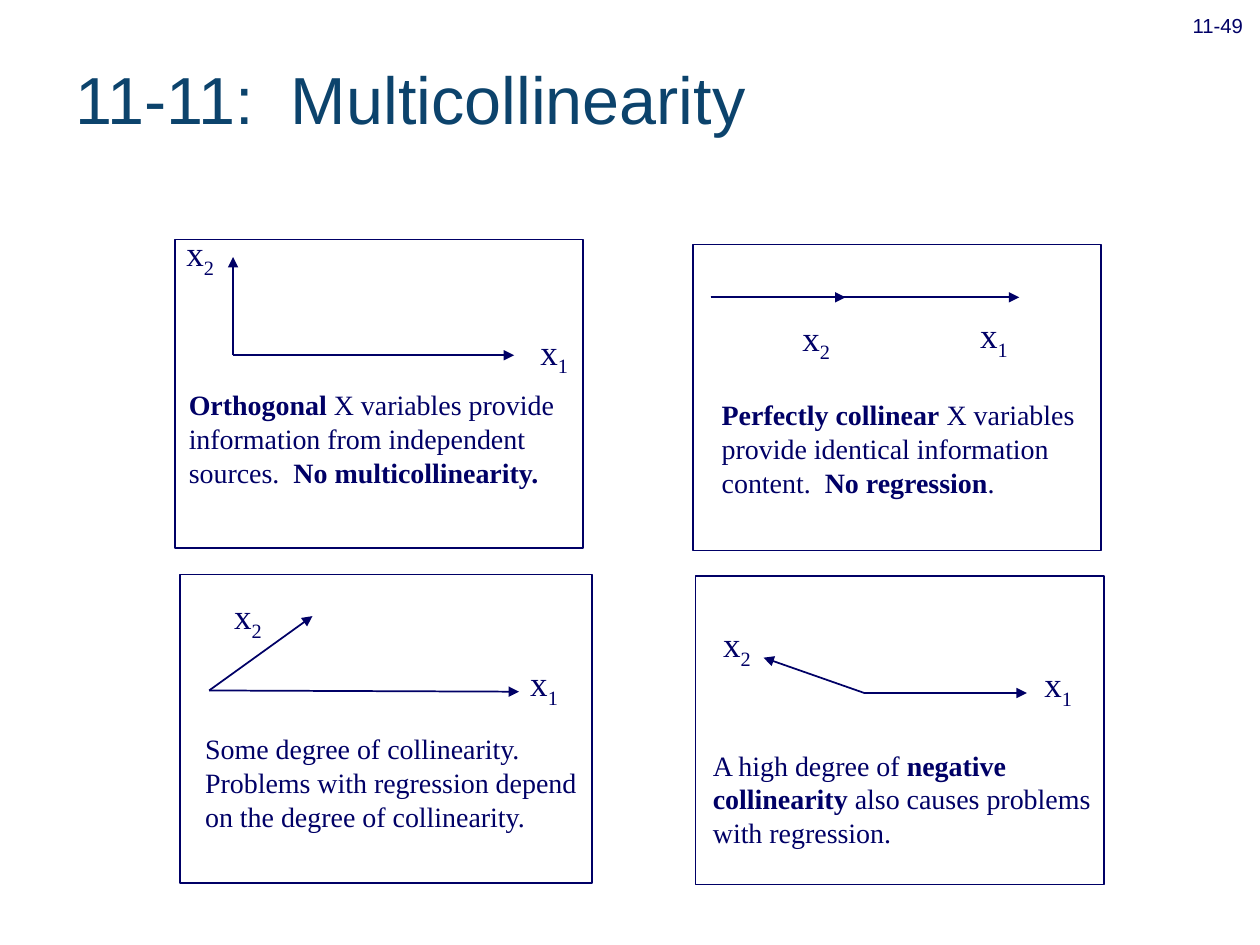
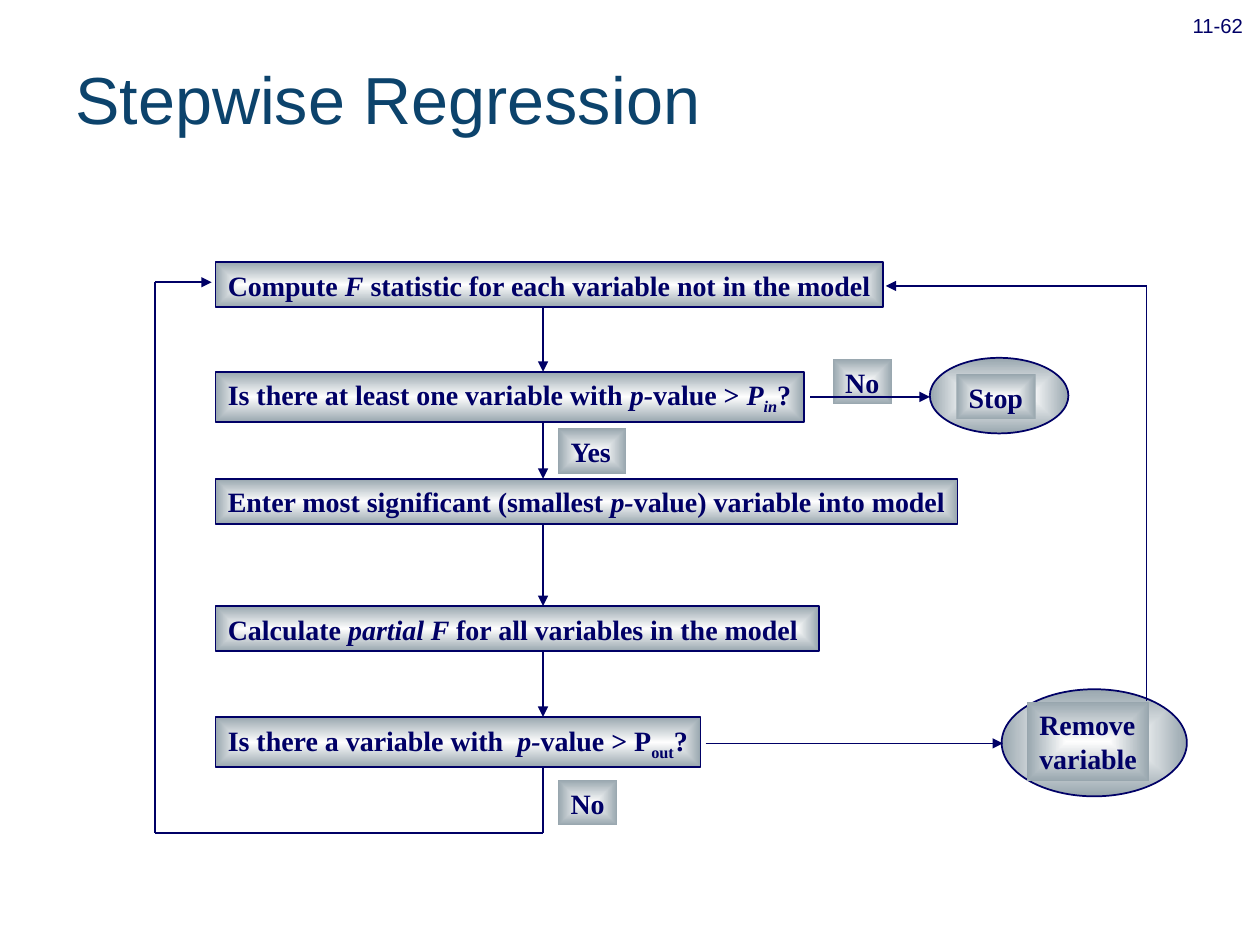
from dataclasses import dataclass
from itertools import pairwise

from lxml.etree import SubElement
from pptx import Presentation
from pptx.dml.color import RGBColor
from pptx.enum.shapes import MSO_CONNECTOR as Connector, MSO_SHAPE as Shape
from pptx.enum.text import MSO_ANCHOR as Anchor, PP_ALIGN as Align
from pptx.oxml.ns import qn
from pptx.util import Inches, Pt

WIDTH, HEIGHT = Inches(10), Inches(7.5)
COLUMN, ROW = WIDTH // 100, HEIGHT // 75
NAVY = RGBColor(0x00, 0x00, 0x66)
TITLE_BLUE = RGBColor(0x0C, 0x43, 0x6C)
GLOW = RGBColor(0xFE, 0xFE, 0xFE)
STEEL = RGBColor(0x98, 0xA6, 0xAE)
SANS, SERIF = "Arial", "Times New Roman"


@dataclass
class Box:
    """A rectangle in grid columns and rows."""
    left: float
    top: float
    width: float
    height: float

    def inner(self, left, top, width, height):
        """Return a box placed relative to this one."""
        return Box(self.left + left, self.top + top, width, height)

    def point(self, column, row):
        """Return a point placed relative to this box."""
        return self.left + column, self.top + row

    def lengths(self):
        """Return left, top, width and height as slide lengths."""
        return (round(self.left * COLUMN), round(self.top * ROW),
                round(self.width * COLUMN), round(self.height * ROW))


def write(shape, lines, size, font=SERIF, color=NAVY, bold=False, wrap=True,
          align=Align.LEFT, anchor=Anchor.TOP):
    """Write lines of (text, marks) spans; marks are b, i and _ for subscript."""
    frame = shape.text_frame
    frame.word_wrap = wrap
    frame.vertical_anchor = anchor
    for number, line in enumerate(lines):
        para = frame.add_paragraph() if number else frame.paragraphs[0]
        para.alignment = align
        para.font.size, para.font.name = Pt(size), font
        para.font.color.rgb, para.font.bold = color, bold
        for text, marks in line:
            span = para.add_run()
            span.text = text
            if "b" in marks:
                span.font.bold = True
            if "i" in marks:
                span.font.italic = True
            if "_" in marks:
                span._r.get_or_add_rPr().set("baseline", "-25000")


def add_text(page, box, lines, size, **style):
    """Add a text box."""
    write(page.shapes.add_textbox(*box.lengths()), lines, size, **style)


def add_outline(page, box, kind=Shape.RECTANGLE, outlined=True):
    """Add an unfilled shape, with a navy line if outlined."""
    shape = page.shapes.add_shape(kind, *box.lengths())
    shape.shadow.inherit = False
    shape.fill.background()
    if outlined:
        shape.line.color.rgb, shape.line.width = NAVY, Pt(1)
    else:
        shape.line.fill.background()
    return shape


def add_glowing(page, box, lines=(), kind=Shape.RECTANGLE, outlined=True):
    """Add a shape that fades from a light centre to steel edges."""
    shape = add_outline(page, box, kind, outlined)
    shape.fill.gradient()
    for stop, color in zip(shape.fill.gradient_stops, (GLOW, STEEL)):
        stop.color.rgb = color
    gradient = shape._element.spPr.find(qn("a:gradFill"))
    gradient.remove(gradient.find(qn("a:lin")))
    fade = SubElement(gradient, qn("a:path"), path="rect")
    SubElement(fade, qn("a:fillToRect"), l="50000", t="50000", r="50000", b="50000")
    write(shape, lines, 16, bold=True, wrap=False)


def add_route(page, *points):
    """Join points with lines and put an arrowhead on the last one."""
    for start, end in pairwise(points):
        line = page.shapes.add_connector(
            Connector.STRAIGHT, round(start[0] * COLUMN), round(start[1] * ROW),
            round(end[0] * COLUMN), round(end[1] * ROW))
        line.line.color.rgb, line.line.width = NAVY, Pt(1)
        SubElement(line._element.spPr, qn("a:effectLst"))
    SubElement(line.line._get_or_add_ln(), qn("a:tailEnd"), type="triangle")


def add_page(deck, title, number):
    """Add a blank slide with its title and page number."""
    page = deck.slides.add_slide(deck.slide_layouts[6])
    add_text(page, Box(5, 1.5, 92.7, 12.5), [[(title, "")]], 38,
             font=SANS, color=TITLE_BLUE, anchor=Anchor.MIDDLE)
    add_text(page, Box(92.9, -1.3, 7.5, 4.8), [[(number, "_")]], 20,
             font=SANS, align=Align.CENTER)
    return page


def add_vector_panel(page, box, origin, tips, labels, note_at, note):
    """Draw two vectors from one origin, their labels and a note in a frame."""
    for index, (tip, label) in enumerate(zip(tips, labels), 1):
        add_route(page, box.point(*origin), box.point(*tip))
        add_text(page, box.inner(*label, 4.2, 4.8),
                 [[("x", ""), (str(index), "_")]], 20, wrap=False)
    add_text(page, box.inner(*note_at, 32.4, 9), [note], 16)
    add_outline(page, box)


def add_multicollinearity(deck):
    """Build the slide that compares four degrees of collinearity."""
    page = add_page(deck, "11-11:  Multicollinearity", "11-49")
    add_vector_panel(
        page, Box(13.9, 19, 32.4, 24.5), (4.6, 9.2), [(26.9, 9.2), (4.6, 1.4)],
        [(28, 6.7), (-0.1, -1.1)], (0.1, 11.3),
        [("Orthogonal", "b"),
         (" X variables provide information from independent sources.  ", ""),
         ("No multicollinearity.", "b")])
    add_vector_panel(
        page, Box(55, 19.4, 32.4, 24.3), (1.4, 4.2), [(25.9, 4.2), (12.1, 4.2)],
        [(21.8, 5), (7.7, 5.2)], (1.3, 11.7),
        [("Perfectly collinear", "b"),
         (" X variables provide identical information content.  ", ""),
         ("No regression", "b"), (".", "")])
    add_vector_panel(
        page, Box(14.3, 45.6, 32.7, 24.5), (2.3, 9.2), [(26.9, 9.3), (10.5, 3.3)],
        [(26.8, 6.4), (3.3, 1.1)], (1, 12),
        [("Some degree of collinearity. Problems with regression depend "
          "on the degree of collinearity.", "")])
    add_vector_panel(
        page, Box(55.2, 45.7, 32.4, 24.5), (13.4, 9.3), [(26.3, 9.3), (5.4, 6.5)],
        [(26.7, 6.4), (1.2, 3.2)], (0.4, 13.2),
        [("A high degree of ", ""), ("negative collinearity ", "b"),
         ("also causes problems with regression.", "")])


def add_steps(page, box):
    """Stack the procedure steps and join them with arrows down the spine."""
    steps = [
        (0.8, 53, 3.6, [("Compute ", ""), ("F", "i"),
                        (" statistic for each variable not in the model", "")]),
        (9.5, 46.7, 4, [("Is there at least one variable with ", ""), ("p-", "i"),
                        ("value >", ""), (" P", "i"), ("in", "i_"), ("?", "")]),
        (18, 58.9, 3.6, [("Enter most significant (smallest ", ""), ("p-", "i"),
                         ("value) variable into model", "")]),
        (28.1, 47.9, 3.6, [("Calculate ", ""), ("partial F ", "i"),
                           ("for all variables in the model", "")]),
        (36.9, 38.5, 4, [("Is there a variable with  ", ""), ("p-", "i"),
                         ("value > P", ""), ("out", "_"), ("?", "")]),
    ]
    for top, width, height, spans in steps:
        add_glowing(page, box.inner(5.1, top, width, height), [spans])
    for (top, _, height, _), following in pairwise(steps):
        add_route(page, box.point(31.1, top + height), box.point(31.1, following[0]))


def add_outcomes(page, box):
    """Place the end points and the answers beside the steps."""
    for oval in ((61.8, 8.4, 11, 6), (67.5, 34.7, 14.7, 8.5)):
        add_glowing(page, box.inner(*oval), kind=Shape.OVAL)
    badges = [
        ((63.9, 9.7, 6.3, 3.6), ["Stop"]),
        ((69.5, 35.7, 9.7, 6.3), ["Remove", "variable"]),
        ((54.1, 8.5, 4.7, 3.6), ["No"]),
        ((32.3, 14, 5.4, 3.6), ["Yes"]),
        ((32.3, 41.9, 4.7, 3.6), ["No"]),
    ]
    for place, words in badges:
        add_glowing(page, box.inner(*place), [[(word, "")] for word in words],
                    outlined=False)


def add_branches(page, box):
    """Draw the side exits and the two loops back to the first step."""
    stop_exit = [(52.3, 11.5), (61.8, 11.5)]
    remove_exit = [(44, 39), (67.6, 39)]
    remove_loop = [(79, 35.6), (79, 2.7), (58.3, 2.7)]
    no_loop = [(31.1, 40.9), (31.1, 46.1), (0.3, 46.1), (0.3, 2.4), (4.8, 2.4)]
    for route in (stop_exit, remove_exit, remove_loop, no_loop):
        add_route(page, *(box.point(*corner) for corner in route))


def add_stepwise_regression(deck):
    """Build the flowchart slide."""
    page = add_page(deck, "Stepwise Regression", "11-62")
    chart = Box(12, 20, 83, 47)
    for add_part in (add_steps, add_outcomes, add_branches):
        add_part(page, chart)


def main():
    """Build and save the deck."""
    deck = Presentation()
    deck.slide_width, deck.slide_height = WIDTH, HEIGHT
    add_multicollinearity(deck)
    add_stepwise_regression(deck)
    deck.save("out.pptx")


if __name__ == "__main__":
    main()
